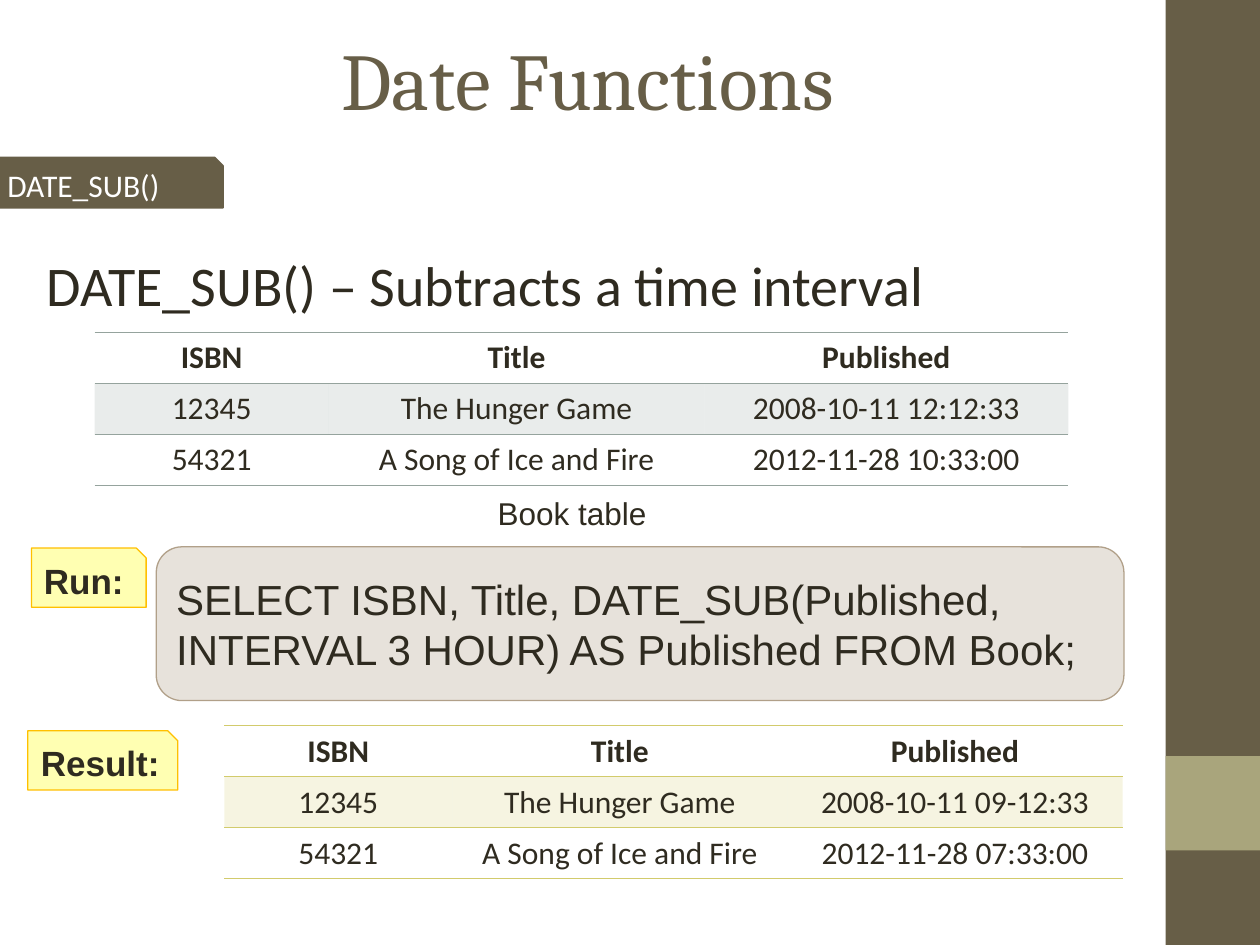
from lxml.etree import SubElement
from pptx import Presentation
from pptx.dml.color import RGBColor
from pptx.enum.shapes import MSO_SHAPE
from pptx.enum.text import MSO_ANCHOR, PP_ALIGN
from pptx.oxml import parse_xml
from pptx.oxml.ns import nsdecls, qn
from pptx.util import Inches, Pt

COLORS = {
    "brown": "675E47",
    "olive": "A9A57C",
    "ink": "2F2B20",
    "white": "FFFFFF",
    "sand": "B1A089",
    "yellow": "FFFF00",
    "amber": "FFC000",
    "sage": "95A39D",
    "straw": "D2CB6C",
}
WIDTH, HEIGHT = 10, 7.5
ROW_HEIGHT = 0.405
PLAIN_TABLE_STYLE = "{2D5ABB26-0587-4C30-8999-92F81FD0307C}"
HEADER = ("ISBN", "Title", "Published")


def color(name):
    """Return the named colour."""
    return RGBColor.from_string(COLORS[name])


def paint(fill, name, opacity=100):
    """Give a fill a solid colour with an opacity in percent."""
    fill.solid()
    fill.fore_color.rgb = color(name)
    if opacity < 100:
        node = fill._xPr.find(qn("a:solidFill"))[0]
        SubElement(node, qn("a:alpha"), val=str(opacity * 1000))


def write(frame, text, size=18, font="Calibri", ink="ink", bold=False,
          align=PP_ALIGN.LEFT, anchor=MSO_ANCHOR.TOP):
    """Write one formatted paragraph into a text frame."""
    frame.word_wrap = True
    frame.vertical_anchor = anchor
    frame.text = text
    paragraph = frame.paragraphs[0]
    paragraph.alignment = align
    paragraph.font.size = Pt(size)
    paragraph.font.name = font
    paragraph.font.bold = bold
    paragraph.font.color.rgb = color(ink)


def add_text(slide, box, text, **style):
    """Add a text box."""
    shape = slide.shapes.add_textbox(*map(Inches, box))
    write(shape.text_frame, text, **style)


def add_panel(slide, kind, box, fill, opacity=100, line=None, weight=0.75,
              text=None, **style):
    """Add a filled preset shape, with text if given."""
    shape = slide.shapes.add_shape(kind, *map(Inches, box))
    shape.shadow.inherit = False
    paint(shape.fill, fill, opacity)
    if line:
        shape.line.color.rgb = color(line)
        shape.line.width = Pt(weight)
    else:
        shape.line.fill.background()
    if text:
        write(shape.text_frame, text, anchor=MSO_ANCHOR.MIDDLE, **style)


def add_rule(cell, side, name):
    """Draw a thin line along the top (T) or bottom (B) of a cell."""
    cell._tc.get_or_add_tcPr().insert(0, parse_xml(
        f'<a:ln{side} {nsdecls("a")} w="{Pt(0.45)}"><a:solidFill>'
        f'<a:srgbClr val="{COLORS[name]}"/></a:solidFill></a:ln{side}>'))


def add_book_table(slide, left, top, widths, rows, accent):
    """Add a ruled table with a bold header and a tinted first data row."""
    frame = slide.shapes.add_table(
        len(rows), len(widths), Inches(left), Inches(top),
        Inches(sum(widths)), Inches(ROW_HEIGHT * len(rows)))
    table = frame.table
    table._tbl.tblPr.find(qn("a:tableStyleId")).text = PLAIN_TABLE_STYLE
    for column, width in zip(table.columns, widths):
        column.width = Inches(width)
    for row_index, row in enumerate(rows):
        table.rows[row_index].height = Inches(ROW_HEIGHT)
        for column_index, text in enumerate(row):
            cell = table.cell(row_index, column_index)
            write(cell.text_frame, text, bold=row_index == 0,
                  align=PP_ALIGN.CENTER)
            if row_index == 1:
                paint(cell.fill, accent, 20)
            else:
                cell.fill.background()
            if row_index < 2:
                add_rule(cell, "T", accent)
            if row_index == len(rows) - 1:
                add_rule(cell, "B", accent)


def book_rows(first_date, second_date):
    """Return the header and both books with their dates."""
    return (HEADER, ("12345", "The Hunger Game", first_date),
            ("54321", "A Song of Ice and Fire", second_date))


def add_title(slide, text):
    """Place and format the title placeholder."""
    title = slide.shapes.title
    title.left, title.top, title.width, title.height = map(
        Inches, (0.5, 0, 8.33, 1.25))
    write(title.text_frame, text, size=46, font="Cambria", ink="brown",
          align=PP_ALIGN.CENTER, anchor=MSO_ANCHOR.MIDDLE)


def add_label(slide, box, text, align):
    """Add a yellow label with a snipped corner."""
    add_panel(slide, MSO_SHAPE.SNIP_1_RECTANGLE, box, "yellow", 30, "amber",
              text=text, size=20, font="Arial", bold=True, align=align)


def main():
    """Build the slide and save it."""
    presentation = Presentation()
    presentation.slide_width = Inches(WIDTH)
    presentation.slide_height = Inches(HEIGHT)
    slide = presentation.slides.add_slide(presentation.slide_layouts[5])

    bar = WIDTH * 0.075
    add_panel(slide, MSO_SHAPE.RECTANGLE, (WIDTH - bar, 0, bar, HEIGHT), "brown")
    add_panel(slide, MSO_SHAPE.RECTANGLE,
              (WIDTH - bar, HEIGHT * 0.8, bar, bar), "olive")

    add_title(slide, "Date Functions")
    add_panel(slide, MSO_SHAPE.SNIP_1_RECTANGLE, (-0.04, 1.25, 1.81, 0.4),
              "brown", line="brown", weight=1, text="DATE_SUB()", ink="white")
    add_text(slide, (0.27, 1.94, 8.9, 0.65),
             "DATE_SUB() – Subtracts a time interval", size=32)

    add_book_table(slide, 0.75, 2.64, (1.86, 2.98, 2.89),
                   book_rows("2008-10-11 12:12:33", "2012-11-28 10:33:00"),
                   "sage")
    add_text(slide, (3.44, 3.87, 2.2, 0.4), "Book table", font="Arial",
             align=PP_ALIGN.CENTER)

    add_label(slide, (0.25, 4.35, 0.91, 0.47), "Run:", PP_ALIGN.LEFT)
    add_panel(slide, MSO_SHAPE.ROUNDED_RECTANGLE, (1.24, 4.34, 7.68, 1.22),
              "sand", 30, "sand", size=24, font="Arial",
              text="SELECT ISBN, Title, DATE_SUB(Published, "
                   "INTERVAL 3 HOUR) AS Published FROM Book;")

    add_label(slide, (0.22, 5.8, 1.19, 0.47), "Result:", PP_ALIGN.CENTER)
    add_book_table(slide, 1.78, 5.76, (1.81, 2.66, 2.66),
                   book_rows("2008-10-11 09-12:33", "2012-11-28 07:33:00"),
                   "straw")
    presentation.save("out.pptx")


if __name__ == "__main__":
    main()
